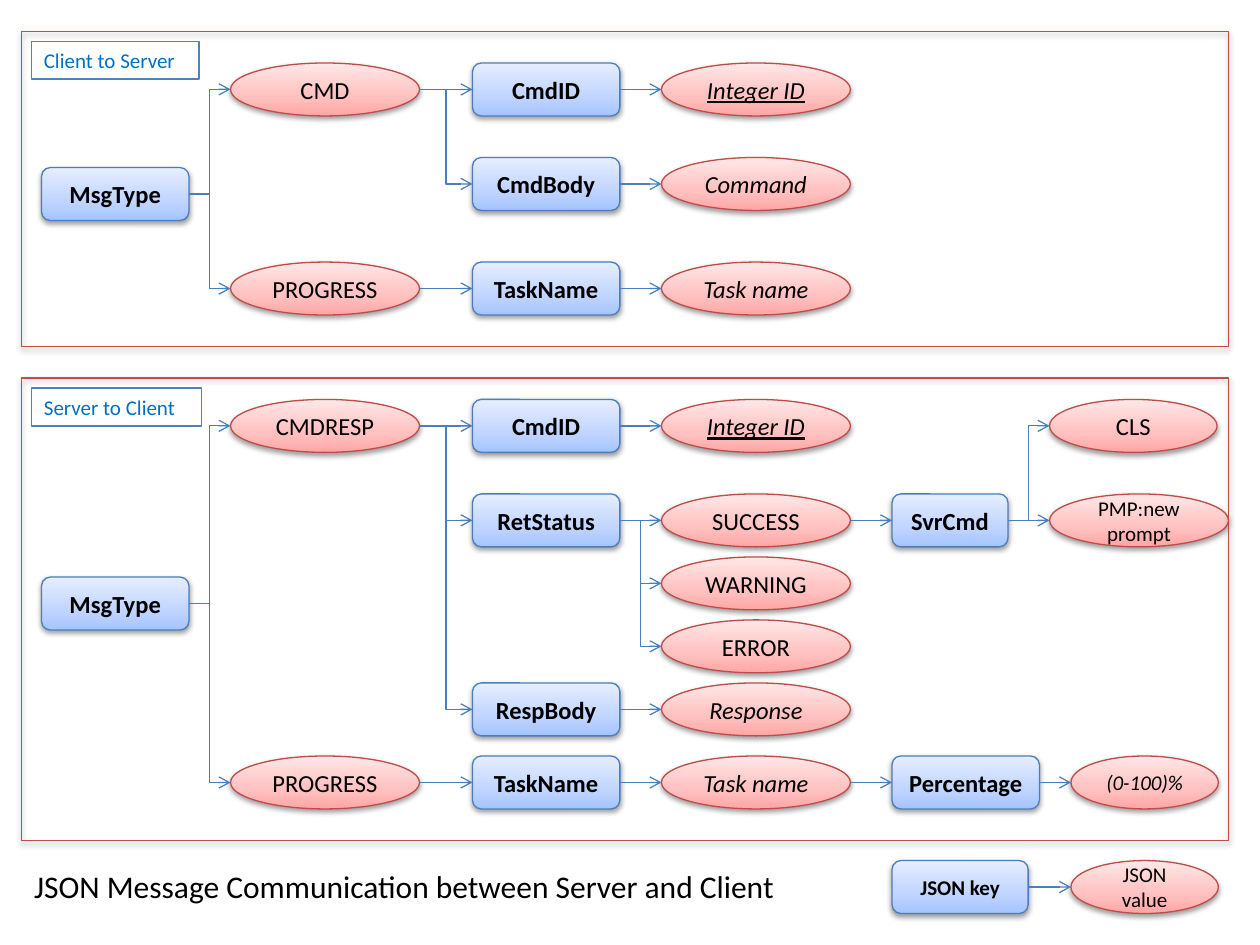
from lxml import etree
from pptx import Presentation
from pptx.dml.color import RGBColor
from pptx.enum.shapes import MSO_CONNECTOR, MSO_SHAPE
from pptx.enum.text import MSO_ANCHOR, MSO_AUTO_SIZE, PP_ALIGN
from pptx.oxml import parse_xml
from pptx.oxml.ns import nsdecls, qn
from pptx.util import Inches, Pt

BLUE, RED = "4B7EBC", "BF4C48"
BLUE_STOPS = ("A4C4FF", "BFD4FF", "E6EEFF")
RED_STOPS = ("FFA6A5", "FFC0BF", "FFE7E7")
NODE_HEIGHT = 0.42


def color(value):
    return RGBColor.from_string(value)


class Diagram:
    """Message tree: keys are rounded boxes, values are ellipses."""

    def __init__(self, page, font="Calibri"):
        self.page, self.font = page, font

    def outline(self, shape, line_color, width=0.75):
        shape.line.color.rgb = color(line_color)
        shape.line.width = Pt(width)

    def shadow(self, shape):
        shape.shadow.inherit = False
        effects = shape._element.spPr.find(qn("a:effectLst"))
        effects.append(parse_xml(
            f'<a:outerShdw {nsdecls("a")} blurRad="40000" dist="20000" dir="5400000" '
            'rotWithShape="0"><a:srgbClr val="000000"><a:alpha val="38000"/>'
            '</a:srgbClr></a:outerShdw>'))

    def gradient(self, shape, stops):
        marks = "".join(
            f'<a:gs pos="{position}"><a:srgbClr val="{stop}"/></a:gs>'
            for position, stop in zip((0, 35000, 100000), stops))
        shape._element.spPr.find(qn("a:prstGeom")).addnext(parse_xml(
            f'<a:gradFill {nsdecls("a")} rotWithShape="1"><a:gsLst>{marks}</a:gsLst>'
            '<a:lin ang="16200000" scaled="0"/></a:gradFill>'))

    def set_text(self, shape, text, size, text_color="000000", align=PP_ALIGN.LEFT,
                 bold=False, italic=False, underline=False):
        paragraph = shape.text_frame.paragraphs[0]
        paragraph.text = text
        paragraph.alignment = align
        font = paragraph.font
        font.name, font.size, font.color.rgb = self.font, Pt(size), color(text_color)
        font.bold, font.italic, font.underline = bold, italic, underline

    def node(self, kind, stops, line_color, text, left, top, width, parent, size, **style):
        shape = self.page.shapes.add_shape(
            kind, Inches(left), Inches(top), Inches(width), Inches(NODE_HEIGHT))
        self.gradient(shape, stops)
        self.outline(shape, line_color)
        self.shadow(shape)
        shape.text_frame.vertical_anchor = MSO_ANCHOR.MIDDLE
        self.set_text(shape, text, size, align=PP_ALIGN.CENTER, **style)
        if parent is not None:
            self.arrow(parent, shape)
        return shape

    def key(self, text, left, top, parent=None, width=1.17, size=14):
        return self.node(MSO_SHAPE.ROUNDED_RECTANGLE, BLUE_STOPS, BLUE, text,
                         left, top, width, parent, size, bold=True)

    def value(self, text, left, top, parent, width=1.5, size=14, **style):
        return self.node(MSO_SHAPE.OVAL, RED_STOPS, RED, text,
                         left, top, width, parent, size, **style)

    def arrow(self, start, end):
        kind = MSO_CONNECTOR.STRAIGHT if start.top == end.top else MSO_CONNECTOR.ELBOW
        line = self.page.shapes.add_connector(
            kind, start.left + start.width, start.top + start.height // 2,
            end.left, end.top + end.height // 2)
        self.outline(line, BLUE)
        outline = line._element.spPr.find(qn("a:ln"))
        etree.SubElement(outline, qn("a:tailEnd"), type="arrow")
        etree.SubElement(line._element.spPr, qn("a:effectLst"))

    def frame(self, top, height):
        shape = self.page.shapes.add_shape(
            MSO_SHAPE.RECTANGLE, Inches(0.17), Inches(top), Inches(9.58), Inches(height))
        shape.fill.background()
        self.outline(shape, RED)
        self.shadow(shape)

    def label(self, text, top, width):
        box = self.page.shapes.add_textbox(
            Inches(0.25), Inches(top), Inches(width), Inches(0.3))
        box.fill.solid()
        box.fill.fore_color.rgb = color("FFFFFF")
        self.outline(box, "4F81BD", 1)
        box.text_frame.word_wrap = True
        box.text_frame.auto_size = MSO_AUTO_SIZE.SHAPE_TO_FIT_TEXT
        self.set_text(box, text, 12, "0070C0")

    def title(self, text):
        box = self.page.shapes.title
        box.left, box.top = Inches(0.17), Inches(6.83)
        box.width, box.height = Inches(6.15), Inches(0.4)
        box.text_frame.word_wrap = False
        box.text_frame.auto_size = MSO_AUTO_SIZE.SHAPE_TO_FIT_TEXT
        box.text_frame.vertical_anchor = MSO_ANCHOR.TOP
        self.set_text(box, text, 18)


deck = Presentation()
deck.slide_width, deck.slide_height = Inches(10), Inches(7.5)
diagram = Diagram(deck.slides.add_slide(deck.slide_layouts[5]))
diagram.title("JSON Message Communication between Server and Client")

# Columns of the message tree
TYPE, KIND, FIELD, CONTENT, DETAIL, RESULT = 0.33, 1.83, 3.75, 5.25, 7.08, 8.5


def message(root_top, command, command_top, fields, progress_top):
    """Draw one direction; return the content nodes by text."""
    root = diagram.key("MsgType", TYPE, root_top)
    command_node = diagram.value(command, KIND, command_top, root)
    progress = diagram.value("PROGRESS", KIND, progress_top, root)
    rows = [(command_node, *field) for field in fields]
    rows.append((progress, "TaskName", progress_top, [("Task name", {"italic": True})]))
    contents = {}
    for parent, name, top, values in rows:
        field = diagram.key(name, FIELD, top, parent)
        for index, (text, style) in enumerate(values):
            contents[text] = diagram.value(text, CONTENT, top + 0.5 * index, field, **style)
    return contents


integer_id = [("Integer ID", {"italic": True, "underline": True})]

# Client to server
message(1.33, "CMD", 0.5, [
    ("CmdID", 0.5, integer_id),
    ("CmdBody", 1.25, [("Command", {"italic": True})]),
], 2.08)

# Server to client
contents = message(4.58, "CMDRESP", 3.17, [
    ("CmdID", 3.17, integer_id),
    ("RetStatus", 3.92, [("SUCCESS", {}), ("WARNING", {}), ("ERROR", {})]),
    ("RespBody", 5.42, [("Response", {"italic": True})]),
], 6)
server_command = diagram.key("SvrCmd", DETAIL, 3.92, contents["SUCCESS"], 0.92)
diagram.value("CLS", 8.33, 3.17, server_command, 1.33)
diagram.value("PMP:new prompt", 8.33, 3.92, server_command, 1.42, 12)
percentage = diagram.key("Percentage", DETAIL, 6, contents["Task name"])
diagram.value("(0-100)%", RESULT, 6, percentage, 1.17, 12, italic=True)

# Legend
legend_key = diagram.key("JSON key", DETAIL, 6.83, width=1.08, size=12)
diagram.value("JSON value", RESULT, 6.83, legend_key, 1.17, 12)

# Frames and their labels
for text, label_top, label_width, top, height in (
        ("Client to Server", 0.33, 1.33, 0.25, 2.5),
        ("Server to Client", 3.08, 1.35, 3, 3.67)):
    diagram.label(text, label_top, label_width)
    diagram.frame(top, height)

deck.save("out.pptx")
